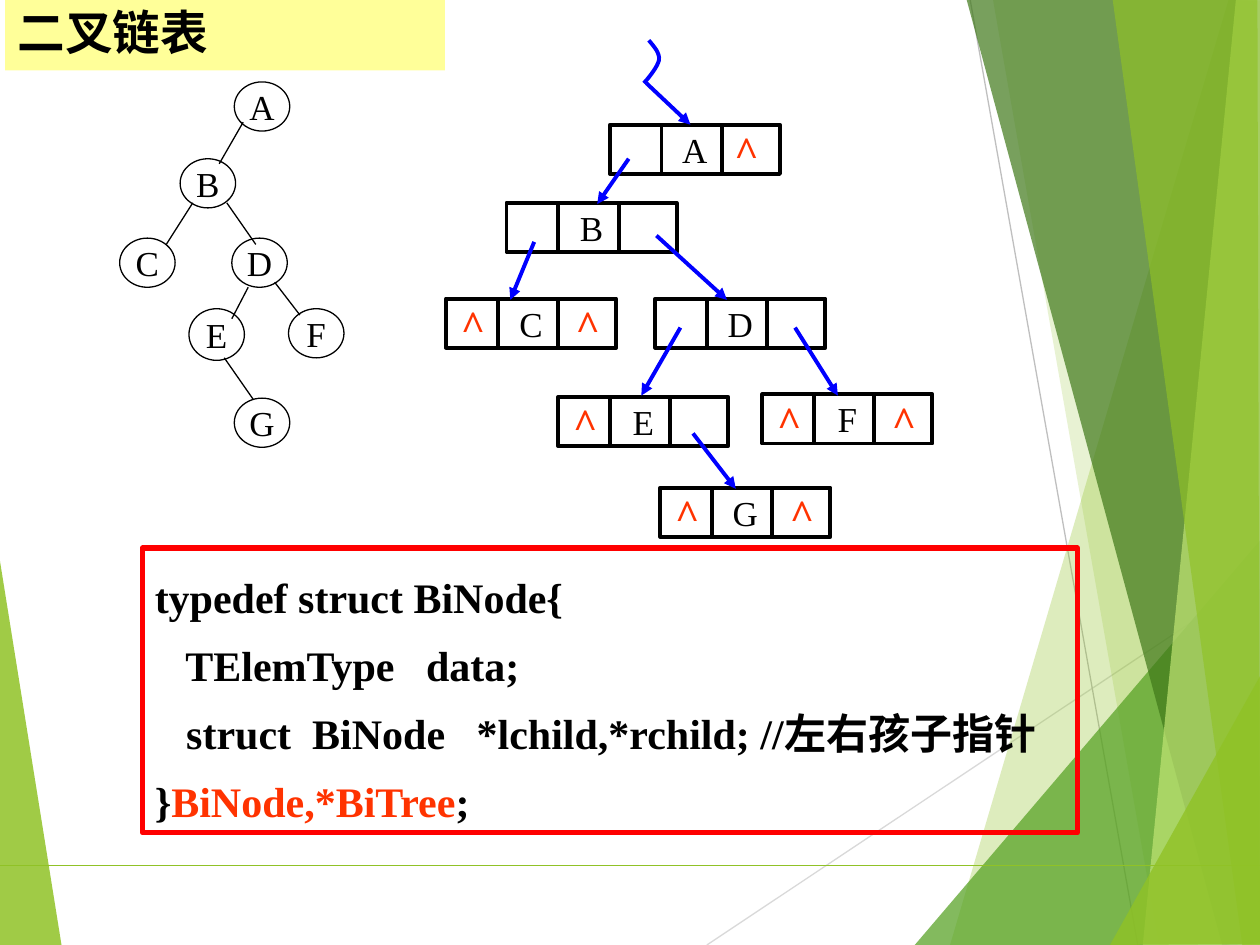
"""Build the slide on binary linked lists: tree, linked nodes and type definition."""
import pptx
import pptx.dml.color
import pptx.enum.shapes
import pptx.enum.text
import pptx.oxml.ns
import pptx.util
from lxml import etree

Inches = pptx.util.Inches
qn = pptx.oxml.ns.qn
LATIN, CJK = "Times New Roman", "Noto Sans CJK SC"
COLORS = {
    "black": "000000", "blue": "0000FF", "red": "FF0000", "orange": "FF3300",
    "yellow": "FFFF99", "lime": "90C226", "green": "54A021", "dark": "3F7819",
    "pale": "C0E474", "silver": "D9D9D9", "gray": "BFBFBF",
}

TITLE = "二叉链表"
CODE = [
    [("typedef struct BiNode{", "black")],
    [("   TElemType   data;", "black")],
    [("   struct  BiNode   *lchild,*rchild; //左右孩子指针", "black")],
    [("}", "black"), ("BiNode,*BiTree", "orange"), (";", "black")],
]

LEFT_FACET = ([(-0.01, 4.39), (0.49, 7.51), (-0.01, 7.5)], "lime", 85)
BACK_LINES = [
    ((5.61, 7.5), (10.01, 4.57), "silver"),
    ((7.7, 0), (9.03, 7.5), "gray"),
]
RIGHT_FACETS = [
    ([(9.75, 0), (7.54, 7.5), (10.02, 7.51), (10.01, 0.01)], "lime", 30),
    ([(7.88, -0.01), (9.2, 7.5), (10.01, 7.5), (10.01, -0.01)], "lime", 20),
    ([(7.26, 7.5), (10, 4.29), (10.01, 7.5)], "green", 72),
    ([(7.67, -0.01), (9.7, 7.5), (10.01, 7.49), (10.01, -0.01)], "dark", 70),
    ([(9.81, -0.01), (9.07, 7.5), (10.01, 7.5), (10, -0.01)], "pale", 70),
    ([(8.83, -0.01), (9.86, 7.5), (10, 7.5), (9.98, -0.01)], "lime", 65),
    ([(8.81, 7.5), (10.01, 5.35), (10.01, 7.49)], "lime", 80),
]

TREE_NODES = [
    ("A", 1.86, 0.65, 0.39), ("B", 1.43, 1.26, 0.39), ("C", 0.95, 1.89, 0.39),
    ("D", 1.84, 1.89, 0.39), ("E", 1.5, 2.45, 0.41), ("F", 2.29, 2.45, 0.39),
    ("G", 1.86, 3.16, 0.39),
]
TREE_EDGES = [
    ((1.93, 0.97), (1.74, 1.3)), ((1.53, 1.61), (1.32, 1.94)),
    ((1.8, 1.61), (2.03, 1.94)), ((1.97, 2.28), (1.84, 2.53)),
    ((2.18, 2.24), (2.38, 2.5)), ((1.78, 2.84), (2.01, 3.17)),
]

NODE_WIDTH, NODE_HEIGHT, DIVIDERS = 1.35, 0.39, (0.41, 0.89)
LEFT_NULL, RIGHT_NULL = 0.02, 0.93
LINKED_NODES = [
    ("A", 4.84, 0.99, [0.89]),
    ("B", 4.02, 1.61, []),
    ("C", 3.54, 2.37, [LEFT_NULL, RIGHT_NULL]),
    ("D", 5.2, 2.37, []),
    ("E", 4.43, 3.15, [LEFT_NULL]),
    ("F", 6.05, 3.13, [LEFT_NULL, RIGHT_NULL]),
    ("G", 5.24, 3.87, [LEFT_NULL, RIGHT_NULL]),
]
POINTERS = [
    ((4.99, 1.26), (4.74, 1.62)), ((4.24, 1.92), (4.05, 2.38)),
    ((5.21, 1.87), (5.77, 2.38)), ((5.4, 2.6), (5.09, 3.14)),
    ((6.31, 2.6), (6.65, 3.14)), ((5.5, 3.44), (5.84, 3.88)),
    ((5.13, 0.66), (5.48, 0.99)),
]
ROOT_CURVES = [
    [(5.15, 0.32), (5.19, 0.37), (5.24, 0.42), (5.23, 0.48)],
    [(5.23, 0.48), (5.22, 0.53), (5.14, 0.63), (5.11, 0.66)],
]

deck = pptx.Presentation()
deck.slide_width, deck.slide_height = Inches(10), Inches(7.5)
slide = deck.slides.add_slide(deck.slide_layouts[6])
shapes = slide.shapes


def rgb(color):
    return pptx.dml.color.RGBColor.from_string(COLORS[color])


def style(shape, fill=None, line=None, width=0.75):
    shape.shadow.inherit = False
    if fill:
        shape.fill.solid()
        shape.fill.fore_color.rgb = rgb(fill)
    else:
        shape.fill.background()
    if line:
        shape.line.color.rgb = rgb(line)
        shape.line.width = pptx.util.Pt(width)
    else:
        shape.line.fill.background()


def add_line(start, end, color="black", width=0.75, arrow=False):
    line = shapes.add_connector(
        pptx.enum.shapes.MSO_CONNECTOR.STRAIGHT, *map(Inches, start + end))
    line.line.color.rgb = rgb(color)
    line.line.width = pptx.util.Pt(width)
    if arrow:
        etree.SubElement(line.line._get_or_add_ln(), qn("a:tailEnd"), type="triangle")
    etree.SubElement(line._element.spPr, qn("a:effectLst"))


def add_outline(points, closed):
    corners = [tuple(map(Inches, point)) for point in points]
    builder = shapes.build_freeform(*corners[0])
    builder.add_line_segments(corners[1:], close=closed)
    return builder.convert_to_shape()


def add_facet(points, color, opacity):
    facet = add_outline(points, True)
    style(facet, fill=color)
    tint = facet._element.spPr.find(qn("a:solidFill"))[0]
    etree.SubElement(tint, qn("a:alpha"), val=str(opacity * 1000))


def bezier(curve, steps=8):
    for step in range(steps + 1):
        t = step / steps
        weights = ((1 - t) ** 3, 3 * t * (1 - t) ** 2, 3 * t * t * (1 - t), t ** 3)
        yield tuple(sum(w * p[axis] for w, p in zip(weights, curve)) for axis in (0, 1))


def add_box(kind, *place):
    return shapes.add_shape(
        getattr(pptx.enum.shapes.MSO_SHAPE, kind), *map(Inches, place))


def write(shape, lines, size, bold=False, latin=LATIN, align="LEFT",
          anchor="MIDDLE", spacing=None, wrap=True):
    frame = shape.text_frame
    frame.word_wrap = wrap
    frame.vertical_anchor = getattr(pptx.enum.text.MSO_ANCHOR, anchor)
    for number, pieces in enumerate(lines):
        paragraph = frame.add_paragraph() if number else frame.paragraphs[0]
        paragraph.alignment = getattr(pptx.enum.text.PP_ALIGN, align)
        if spacing:
            paragraph.line_spacing = spacing
        font = paragraph.font
        font.size, font.bold, font.name = pptx.util.Pt(size), bold, latin
        font.color.rgb = rgb(pieces[0][1])
        defaults = paragraph._p.pPr.find(qn("a:defRPr"))
        etree.SubElement(defaults, qn("a:ea"), typeface=CJK)
        for text, color in pieces:
            run = paragraph.add_run()
            run.text = text
            run.font.color.rgb = rgb(color)


add_facet(*LEFT_FACET)
for back_line in BACK_LINES:
    add_line(*back_line)
for facet_data in RIGHT_FACETS:
    add_facet(*facet_data)
add_line((0, 6.87), (10, 6.87), "lime")

for letter, left, top, height in TREE_NODES:
    circle = add_box("OVAL", left, top, 0.44, height)
    style(circle, line="black")
    write(circle, [[(letter, "black")]], 20, align="CENTER", wrap=False)
for edge in TREE_EDGES:
    add_line(*edge)

for letter, left, top, nulls in LINKED_NODES:
    node = add_box("RECTANGLE", left, top, NODE_WIDTH, NODE_HEIGHT)
    style(node, line="black", width=2.25)
    write(node, [[(letter, "black")]], 20, align="CENTER", wrap=False)
    for offset in DIVIDERS:
        add_line((left + offset, top), (left + offset, top + NODE_HEIGHT), width=2.25)
    for offset in nulls:
        null = shapes.add_textbox(*map(Inches, (left + offset, top - 0.05, 0.39, 0.5)))
        write(null, [[("^", "orange")]], 24, bold=True, align="CENTER", wrap=False)
for pointer in POINTERS:
    add_line(*pointer, "blue", 2.25, arrow=True)
root = add_outline([point for curve in ROOT_CURVES for point in bezier(curve)], False)
style(root, line="blue", width=2.25)

title = add_box("RECTANGLE", 0.04, 0, 3.49, 0.56)
style(title, fill="yellow")
write(title, [[(TITLE, "black")]], 27.2, bold=True, latin=CJK, spacing=0.9)

definition = add_box("RECTANGLE", 1.13, 4.35, 7.42, 2.26)
style(definition, line="red", width=3)
write(definition, CODE, 24, bold=True, anchor="TOP", spacing=1.35)

deck.save("out.pptx")
